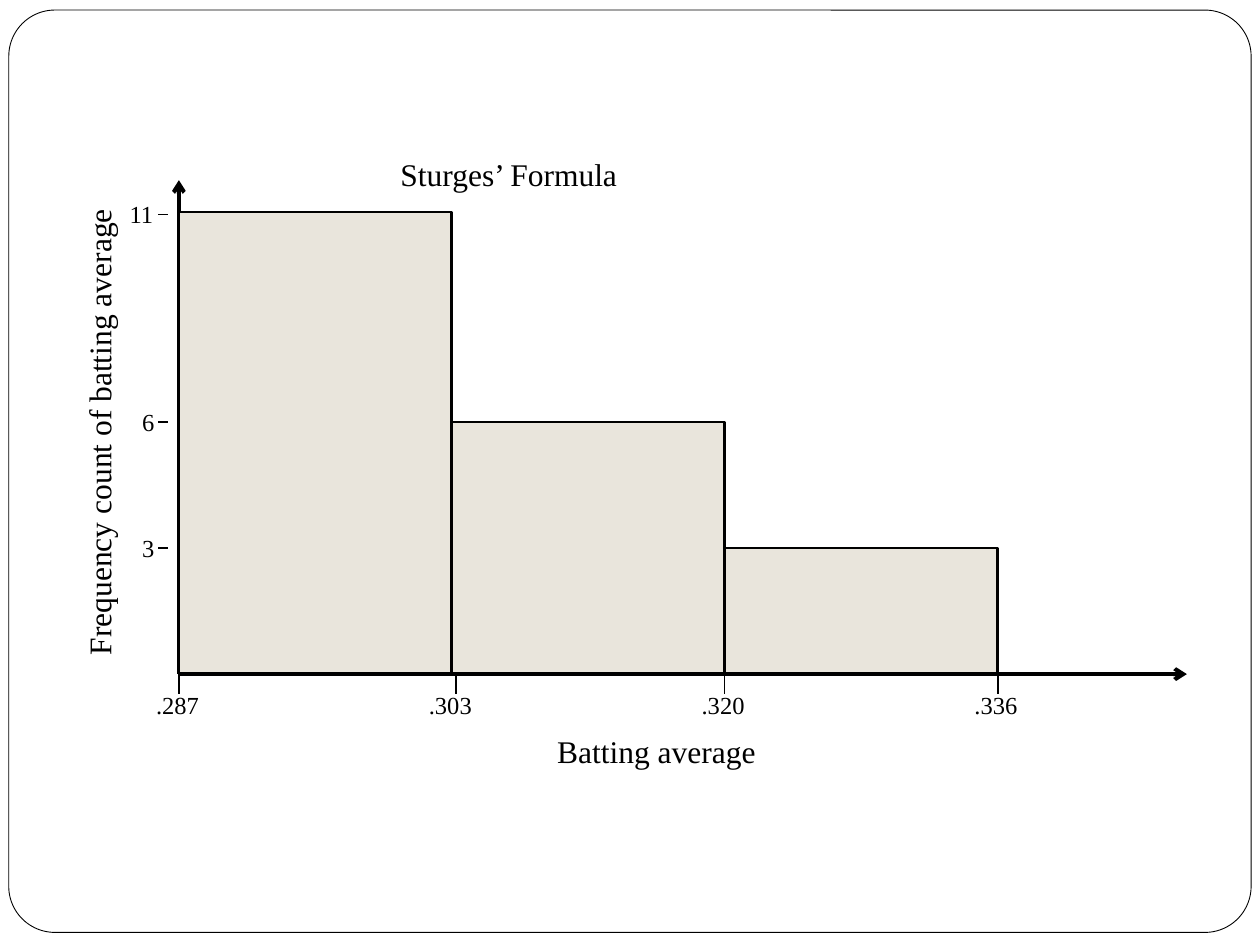
from lxml import etree
from pptx import Presentation
from pptx import util as u
from pptx.dml.color import RGBColor
from pptx.enum import shapes, text
from pptx.oxml.ns import qn

BLACK = RGBColor(0x00, 0x00, 0x00)
WHITE = RGBColor(0xFF, 0xFF, 0xFF)
BEIGE = RGBColor(0xE9, 0xE5, 0xDC)


class Histogram:
    font = "Times New Roman"
    ink = BLACK

    def __init__(self, slide):
        self.s = slide

    def box(self, x, y, w, h, fill, weight, kind=shapes.MSO_SHAPE.RECTANGLE):
        sp = self.s.shapes.add_shape(
            kind, u.Inches(x), u.Inches(y), u.Inches(w), u.Inches(h))
        sp.shadow.inherit = False
        sp.fill.solid()
        sp.fill.fore_color.rgb = fill
        sp.line.color.rgb = self.ink
        sp.line.width = u.Pt(weight)
        return sp

    def line(self, x1, y1, x2, y2, weight=0.75, arrow=False):
        sp = self.s.shapes.add_connector(
            shapes.MSO_CONNECTOR.STRAIGHT,
            u.Inches(x1), u.Inches(y1), u.Inches(x2), u.Inches(y2))
        sp.line.color.rgb = self.ink
        sp.line.width = u.Pt(weight)
        if arrow:
            ln = sp.line._get_or_add_ln()
            etree.SubElement(ln, qn("a:tailEnd"), type="arrow")
        etree.SubElement(sp._element.spPr, qn("a:effectLst"))

    def label(self, x, y, w, h, words, size=14, align=text.PP_ALIGN.LEFT,
              wrap=False, rotation=0):
        sp = self.s.shapes.add_textbox(
            u.Inches(x), u.Inches(y), u.Inches(w), u.Inches(h))
        sp.rotation = rotation
        tf = sp.text_frame
        tf.word_wrap = wrap
        tf.auto_size = text.MSO_AUTO_SIZE.SHAPE_TO_FIT_TEXT
        p = tf.paragraphs[0]
        p.text = words
        p.alignment = align
        r = p.runs[0]
        r.font.name = self.font
        r.font.size = u.Pt(size)
        r.font.color.rgb = self.ink


def main():
    prs = Presentation()
    prs.slide_width, prs.slide_height = u.Inches(10), u.Inches(7.5)
    chart = Histogram(prs.slides.add_slide(prs.slide_layouts[6]))

    left, base, bar_width, unit = 1.42, 5.35, 2.165, 1 / 3
    centre = text.PP_ALIGN.CENTER

    frame = chart.box(0.07, 0.08, 9.86, 7.32, WHITE, 0.5,
                      shapes.MSO_SHAPE.ROUNDED_RECTANGLE)
    frame.adjustments[0] = 0.05

    chart.line(left, base, left, 1.43, 2.25, arrow=True)
    for i, (count, tick_y, w) in enumerate(
            [(11, 1.7, 0.4), (6, 3.35, 0.3), (3, 4.35, 0.3)]):
        height = count * unit
        chart.box(left + i * bar_width, base - height, bar_width, height,
                  BEIGE, 1.5)
        chart.line(1.33, tick_y, 1.25, tick_y)
        chart.label(1.33 - w, tick_y - 0.17, w, 0.34, str(count))

    for i, (bound, tick_x) in enumerate(
            [(".287", left), (".303", 3.62), (".320", 5.75), (".336", 7.92)]):
        chart.line(tick_x, base, tick_x, 5.51)
        chart.label(left + i * bar_width - 0.28, 5.43, 0.55, 0.34, bound)
    chart.line(left, base, 9.42, base, 2.25, arrow=True)

    chart.label(-1.13, 3.23, 3.83, 0.4, "Frequency count of batting average",
                18, centre, rotation=270)
    chart.label(1.25, 5.76, 7.92, 0.4, "Batting average", 18, centre, wrap=True)
    chart.label(3.08, 1.18, 1.92, 0.4, "Sturges’ Formula", 18)

    prs.save("out.pptx")


if __name__ == "__main__":
    main()
